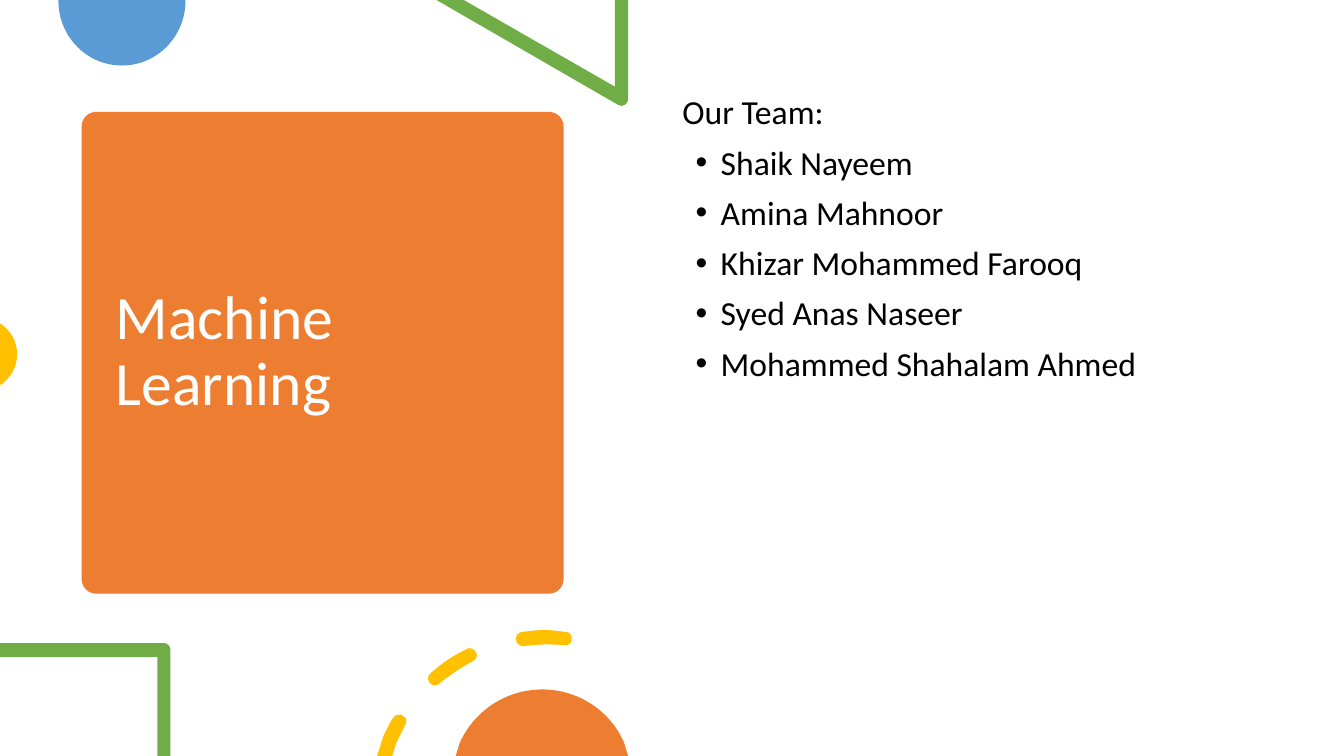
from lxml import etree
from pptx import Presentation
from pptx.dml.color import RGBColor
from pptx.enum.shapes import MSO_SHAPE
from pptx.enum.text import MSO_ANCHOR
from pptx.oxml.ns import qn
from pptx.util import Pt

PX = 9144
ROUNDED = MSO_SHAPE.ROUNDED_RECTANGLE
MIDDLE = MSO_ANCHOR.MIDDLE
TOP = MSO_ANCHOR.TOP
ORANGE, BLUE, GREEN, YELLOW = "ED7D31", "5B9BD5", "70AD47", "FFC000"
WHITE, BLACK = "FFFFFF", "000000"


def paint(shape, color):
    shape.shadow.inherit = False
    shape.fill.solid()
    shape.fill.fore_color.rgb = RGBColor.from_string(color)
    shape.line.fill.background()


presentation = Presentation()
presentation.slide_width = 1333 * PX
presentation.slide_height = 750 * PX
slide = presentation.slides.add_slide(presentation.slide_layouts[6])

panel = slide.shapes.add_shape(ROUNDED, 81 * PX, 111 * PX, 478 * PX, 478 * PX)
panel.adjustments[0] = 0.03
paint(panel, ORANGE)

# Two numbers draw a line, six draw a curve.
blue_disc = [(184, 0), (58, 0), (58, 1), (58, 36, 86, 65, 121, 65), (156, 65, 184, 36, 184, 1)]
triangle = [
    (623, 0), (610, 0), (610, 86), (460, 0), (433, 0), (613, 104),
    (614, 105, 615, 105, 616, 105), (620, 105, 623, 102, 623, 98),
]
yellow_disc = [(0, 321), (0, 382), (2, 381), (11, 374, 17, 364, 17, 351), (17, 339, 11, 329, 2, 322)]
frame = [
    (163, 638), (0, 638), (0, 652), (156, 652), (156, 750), (169, 750), (169, 645),
    (169, 641, 166, 638, 163, 638),
]
left_dash = [
    (397, 709), (394, 708, 392, 710, 390, 712), (386, 718, 383, 725, 380, 731), (374, 750),
    (389, 750), (393, 737), (396, 731, 399, 725, 402, 719), (404, 716, 403, 711, 399, 710),
    (399, 709, 398, 709, 397, 709),
]
middle_dash = [
    (465, 643), (465, 643, 464, 643, 463, 644), (450, 650, 438, 658, 427, 668),
    (424, 670, 424, 675, 426, 677), (427, 679, 429, 680, 431, 680), (433, 680, 435, 679, 436, 678),
    (446, 670, 457, 662, 469, 656), (473, 654, 474, 650, 472, 647), (471, 644, 468, 643, 465, 643),
]
top_dash = [
    (540, 625), (532, 625, 525, 626, 518, 627), (514, 627, 511, 631, 512, 635),
    (512, 638, 515, 641, 519, 641), (519, 641, 519, 641, 520, 641), (533, 639, 546, 639, 560, 640),
    (563, 641, 567, 638, 567, 635), (568, 631, 565, 627, 562, 627), (562, 627, 561, 627, 561, 627),
    (554, 626, 547, 625, 540, 625),
]
orange_disc = [
    (538, 684), (501, 684, 470, 706, 456, 737), (452, 750), (623, 750), (619, 737),
    (606, 706, 574, 684, 538, 684),
]

for contours, color in [
    ([blue_disc], BLUE),
    ([triangle], GREEN),
    ([yellow_disc], YELLOW),
    ([frame], GREEN),
    ([left_dash, middle_dash, top_dash], YELLOW),
    ([orange_disc], ORANGE),
]:
    builder = slide.shapes.build_freeform(*contours[0][0], scale=PX)
    for contour in contours:
        if contour is not contours[0]:
            builder.move_to(*contour[0])
        points = [pair for segment in contour[1:] for pair in zip(segment[::2], segment[1::2])]
        builder.add_line_segments(points, close=True)
    shape = builder.convert_to_shape()
    paint(shape, color)
    line_nodes = iter(list(shape._element.iter(qn("a:lnTo"))))
    for segment in [segment for contour in contours for segment in contour[1:]]:
        nodes = [next(line_nodes) for _ in segment[::2]]
        if len(nodes) == 3:
            curve = etree.Element(qn("a:cubicBezTo"))
            nodes[0].addprevious(curve)
            for node in nodes:
                curve.append(node[0])
                node.getparent().remove(node)

team = [
    "Shaik Nayeem",
    "Amina Mahnoor",
    "Khizar Mohammed Farooq",
    "Syed Anas Naseer",
    "Mohammed Shahalam Ahmed",
]
for box, anchor, lines, size, color, space in [
    ((105, 122, 431, 456), MIDDLE, ["Machine Learning"], 44, WHITE, 0),
    ((667, 90, 575, 535), TOP, ["Our Team:"] + team, 24, BLACK, 10),
]:
    text_frame = slide.shapes.add_textbox(*[length * PX for length in box]).text_frame
    text_frame.word_wrap = True
    text_frame.vertical_anchor = anchor
    text_frame.text = "\n".join(lines)
    for paragraph in text_frame.paragraphs:
        paragraph.line_spacing = 0.9
        paragraph.space_before = Pt(space)
        paragraph.font.name = "Calibri"
        paragraph.font.size = Pt(size)
        paragraph.font.color.rgb = RGBColor.from_string(color)
        if paragraph.text in team:
            properties = paragraph._p.get_or_add_pPr()
            properties.set("marL", str(38 * PX))
            properties.set("indent", str(-25 * PX))
            default_run = properties.find(qn("a:defRPr"))
            default_run.addprevious(etree.Element(qn("a:buFont"), typeface="Arial"))
            default_run.addprevious(etree.Element(qn("a:buChar"), char="•"))

presentation.save("out.pptx")
